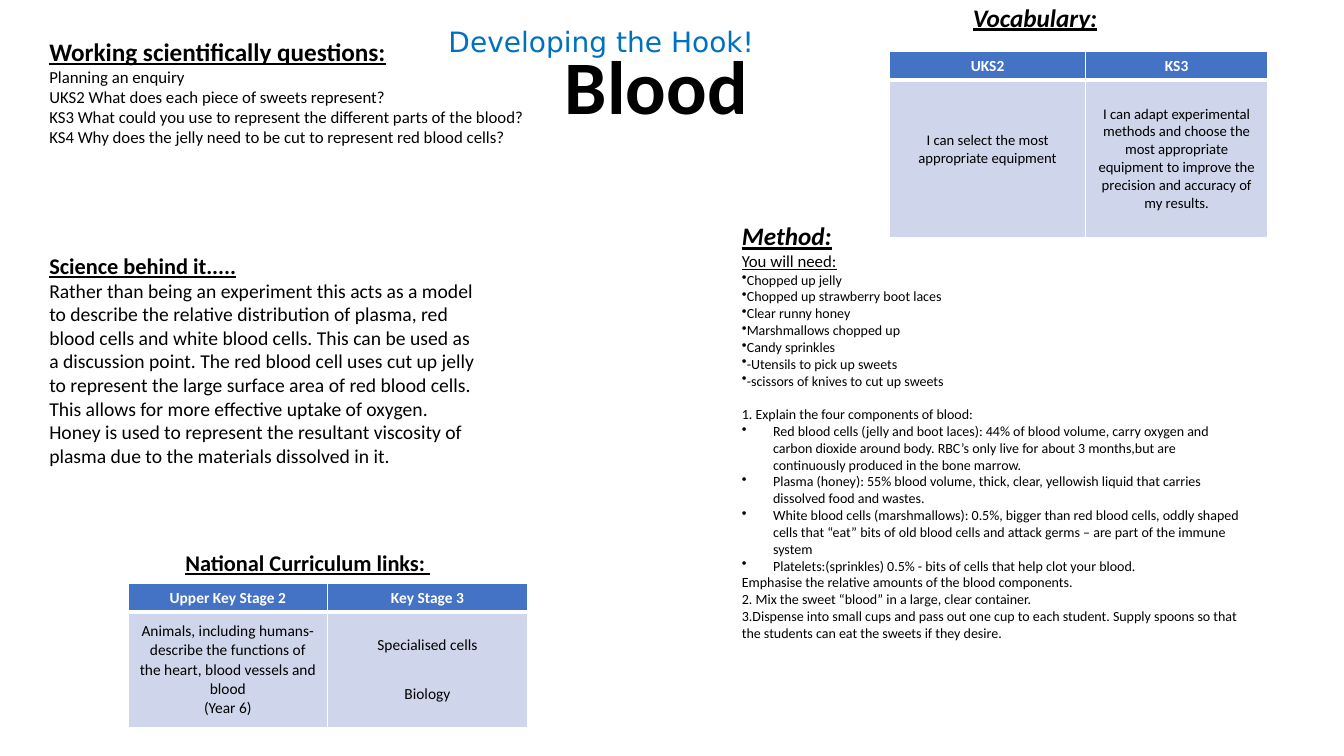
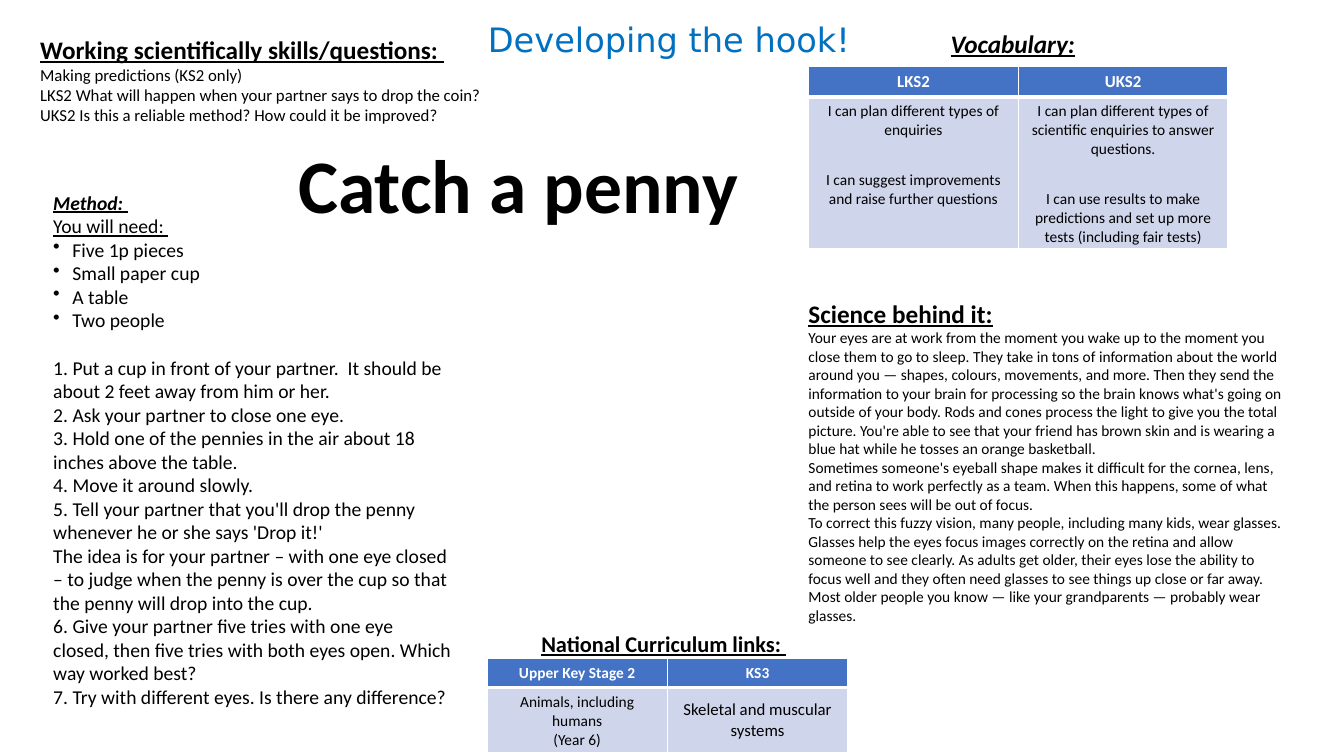
import pptx
import pptx.util
import pptx.dml.color
import pptx.enum.text
import pptx.oxml
import pptx.oxml.ns
import lxml.etree

PX = 9144
BLUE, PALE, WHITE, BLACK, HOOK = "4472C4", "CFD5EA", "FFFFFF", "000000", "0070C0"
ALIGN = pptx.enum.text.PP_ALIGN
ANCHOR = pptx.enum.text.MSO_ANCHOR
BLANK_LINE = 22


def text_style(size, color=BLACK, name="Calibri", align=ALIGN.LEFT, bullet=None, outline=False, **flags):
    return {"font": {"size": pptx.util.Pt(size), "name": name, **flags},
            "color": color, "align": align, "bullet": bullet, "outline": outline}


def heading(size, **flags):
    return text_style(size, bold=True, underline=True, **flags)


HEADING = heading(18)
SMALL_HEADING = heading(16)
SLANTED_HEADING = heading(18, italic=True)
TOPIC = text_style(54, align=ALIGN.CENTER, outline=True, bold=True)

SLIDES = [
    {
        "boxes": [
            ((726, 214, 515, 522), [
                (SLANTED_HEADING, 0, ["Method:"]),
                (text_style(12, underline=True), 0, ["You will need:"]),
                (text_style(10, bullet=0), 0, [
                    "Chopped up jelly",
                    "Chopped up strawberry boot laces",
                    "Clear runny honey",
                    "Marshmallows chopped up",
                    "Candy sprinkles",
                    "-Utensils to pick up sweets",
                    "-scissors of knives to cut up sweets"]),
                (text_style(10), 12, ["1. Explain the four components of blood:"]),
                (text_style(10, bullet=31), 0, [
                    "Red blood cells (jelly and boot laces): 44% of blood volume, carry oxygen and carbon dioxide around body. RBC’s only live for about 3 months,but are continuously produced in the bone marrow.",
                    "Plasma (honey): 55% blood volume, thick, clear, yellowish liquid that carries dissolved food and wastes.",
                    "White blood cells (marshmallows): 0.5%, bigger than red blood cells, oddly shaped cells that “eat” bits of old blood cells and attack germs – are part of the immune system",
                    "Platelets:(sprinkles) 0.5% - bits of cells that help clot your blood."]),
                (text_style(10), 0, [
                    "Emphasise the relative amounts of the blood components.",
                    "2. Mix the sweet “blood” in a large, clear container.",
                    "3.Dispense into small cups and pass out one cup to each student. Supply spoons so that the students can eat the sweets if they desire."]),
            ]),
            ((39, 31, 555, 172), [
                (HEADING, 0, ["Working scientifically questions:"]),
                (text_style(12), 0, [
                    "Planning an enquiry",
                    "UKS2 What does each piece of sweets represent?",
                    "KS3 What could you use to represent the different parts of the blood?",
                    "KS4 Why does the jelly need to be cut to represent red blood cells?"]),
            ]),
            ((174, 540, 319, 145), [(SMALL_HEADING, 0, ["National Curriculum links: "])]),
            ((955, -3, 393, 84), [(SLANTED_HEADING, 0, ["Vocabulary:"])]),
            ((232, 34, 838, 101), [(TOPIC, 0, ["Blood"])]),
            ((39, 245, 445, 276), [
                (SMALL_HEADING, 0, ["Science behind it....."]),
                (text_style(14), 0, [
                    "Rather than being an experiment this acts as a model to describe the relative distribution of plasma, red blood cells and white blood cells. This can be used as a discussion point. The red blood cell uses cut up jelly to represent the large surface area of red blood cells. This allows for more effective uptake of oxygen. Honey is used to represent the resultant viscosity of plasma due to the materials dissolved in it."]),
            ]),
            ((435, 19, 607, 44), [(text_style(20, HOOK, "DejaVu Sans"), 0, ["Developing the Hook!"])]),
        ],
        "tables": [
            {"at": (127, 579), "cols": (198, 198), "rows": (28, 114), "anchor": ANCHOR.MIDDLE,
             "header_size": 11, "header": ["Upper Key Stage 2", "Key Stage 3"],
             "body": [
                 {"size": 11, "lines": [
                     (0, "Animals, including humans- describe the functions of the heart, blood vessels and blood"),
                     (0, "(Year 6)")]},
                 {"size": 11, "lines": [(0, "Specialised cells"), (BLANK_LINE, "Biology")]}]},
            {"at": (882, 51), "cols": (195, 180), "rows": (28, 156), "anchor": ANCHOR.MIDDLE,
             "header_size": 11, "header": ["UKS2", "KS3"],
             "body": [
                 {"size": 10.5, "bottom": 23, "lines": [(0, "I can select the most appropriate equipment")]},
                 {"size": 10.5, "lines": [
                     (0, "I can adapt experimental methods and choose the most appropriate equipment to improve the precision and accuracy of my results.")]}]},
        ],
    },
    {
        "boxes": [
            ((43, 184, 416, 547), [
                (heading(14, italic=True), 0, ["Method: "]),
                (text_style(14, underline=True), 0, ["You will need: "]),
                (text_style(14, bullet=19), 0, [
                    "Five 1p pieces", "Small paper cup", "A table", "Two people"]),
                (text_style(14), 17, [
                    "1. Put a cup in front of your partner.  It should be about 2 feet away from him or her."]),
                (text_style(14), 0, [
                    "2. Ask your partner to close one eye.",
                    "3. Hold one of the pennies in the air about 18 inches above the table.",
                    "4. Move it around slowly.",
                    "5. Tell your partner that you'll drop the penny whenever he or she says 'Drop it!'",
                    "The idea is for your partner – with one eye closed – to judge when the penny is over the cup so that the penny will drop into the cup.",
                    "6. Give your partner five tries with one eye closed, then five tries with both eyes open. Which way worked best?",
                    "7. Try with different eyes. Is there any difference?"]),
            ]),
            ((792, 291, 493, 374), [
                (HEADING, 0, ["Science behind it:"]),
                (text_style(11), 0, [
                    "Your eyes are at work from the moment you wake up to the moment you close them to go to sleep. They take in tons of information about the world around you — shapes, colours, movements, and more. Then they send the information to your brain for processing so the brain knows what's going on outside of your body. Rods and cones process the light to give you the total picture. You're able to see that your friend has brown skin and is wearing a blue hat while he tosses an orange basketball.",
                    "Sometimes someone's eyeball shape makes it difficult for the cornea, lens, and retina to work perfectly as a team. When this happens, some of what the person sees will be out of focus.",
                    "To correct this fuzzy vision, many people, including many kids, wear glasses. Glasses help the eyes focus images correctly on the retina and allow someone to see clearly. As adults get older, their eyes lose the ability to focus well and they often need glasses to see things up close or far away. Most older people you know — like your grandparents — probably wear glasses."]),
            ]),
            ((30, 29, 732, 121), [
                (HEADING, 0, ["Working scientifically skills/questions: "]),
                (text_style(12), 0, [
                    "Making predictions (KS2 only)",
                    "LKS2 What will happen when your partner says to drop the coin?",
                    "UKS2 Is this a reliable method? How could it be improved?"]),
            ]),
            ((527, 620, 299, 138), [(SMALL_HEADING, 0, ["National Curriculum links: "])]),
            ((933, 23, 320, 64), [(SLANTED_HEADING, 0, ["Vocabulary:"])]),
            ((275, 132, 478, 101), [(TOPIC, 0, ["Catch a penny"])]),
            ((474, 14, 555, 57), [(text_style(24, HOOK, "DejaVu Sans"), 0, ["Developing the hook!"])]),
        ],
        "tables": [
            {"at": (483, 653), "cols": (179, 179), "rows": (29, 65), "anchor": ANCHOR.MIDDLE,
             "header_size": 11, "header": ["Upper Key Stage 2", "KS3"],
             "body": [
                 {"size": 11, "lines": [(0, "Animals, including humans"), (0, "(Year 6)")]},
                 {"size": 12, "lines": [(0, "Skeletal and muscular systems")]}]},
            {"at": (802, 66), "cols": (208, 208), "rows": (30, 150), "anchor": ANCHOR.TOP,
             "header_size": 12, "header": ["LKS2", "UKS2"],
             "body": [
                 {"size": 11, "lines": [
                     (0, "I can plan different types of enquiries"),
                     (BLANK_LINE, "I can suggest improvements and raise further questions")]},
                 {"size": 11, "lines": [
                     (0, "I can plan different types of scientific enquiries to answer questions."),
                     (BLANK_LINE, "I can use results to make"),
                     (0, "predictions and set up more tests (including fair tests)")]}]},
        ],
    },
]


def px(length):
    return pptx.util.Emu(length * PX)


def rgb(color):
    return pptx.dml.color.RGBColor.from_string(color)


def white_line(tag, points):
    namespace = pptx.oxml.ns.nsdecls("a")
    return pptx.oxml.parse_xml(
        f'<a:{tag} {namespace} w="{int(points * 12700)}"><a:solidFill>'
        f'<a:srgbClr val="{WHITE}"/></a:solidFill></a:{tag}>')


def write(frame, groups):
    entries = [(style, gap, text) for style, gap, texts in groups for text in texts]
    for index, (style, gap, text) in enumerate(entries):
        paragraph = frame.add_paragraph() if index else frame.paragraphs[0]
        paragraph.alignment = style["align"]
        if gap:
            paragraph.space_before = pptx.util.Pt(gap)
        if style["bullet"] is not None:
            properties = paragraph._p.get_or_add_pPr()
            properties.set("marL", str(px(style["bullet"])))
            properties.set("indent", str(px(-style["bullet"])))
            bullet = lxml.etree.SubElement(properties, pptx.oxml.ns.qn("a:buChar"))
            bullet.set("char", "•")
        run = paragraph.add_run()
        run.text = text
        for attribute, value in style["font"].items():
            setattr(run.font, attribute, value)
        run.font.color.rgb = rgb(style["color"])
        if style["outline"]:
            run._r.get_or_add_rPr().insert(0, white_line("ln", 0.75))


def add_box(slide, place, groups):
    frame = slide.shapes.add_textbox(*map(px, place)).text_frame
    frame.word_wrap = True
    frame.auto_size = pptx.enum.text.MSO_AUTO_SIZE.SHAPE_TO_FIT_TEXT
    write(frame, groups)


def fill_cell(cell, color, anchor, groups, bottom_line):
    cell.fill.solid()
    cell.fill.fore_color.rgb = rgb(color)
    cell.vertical_anchor = anchor
    write(cell.text_frame, groups)
    borders = {"lnL": 1, "lnR": 1, "lnT": 1, "lnB": bottom_line}
    for index, (tag, points) in enumerate(borders.items()):
        cell._tc.get_or_add_tcPr().insert(index, white_line(tag, points))


def add_grid(slide, content):
    cols, rows = content["cols"], content["rows"]
    place = (*content["at"], sum(cols), sum(rows))
    grid = slide.shapes.add_table(len(rows), len(cols), *map(px, place)).table
    for row, height in zip(grid.rows, rows):
        row.height = px(height)
    header_style = text_style(content["header_size"], WHITE, align=ALIGN.CENTER, bold=True)
    for index, (title, body) in enumerate(zip(content["header"], content["body"])):
        grid.columns[index].width = px(cols[index])
        fill_cell(grid.cell(0, index), BLUE, content["anchor"], [(header_style, 0, [title])], 3)
        body_style = text_style(body["size"], align=ALIGN.CENTER, bold=False)
        lines = [(body_style, gap, [line]) for gap, line in body["lines"]]
        fill_cell(grid.cell(1, index), PALE, content["anchor"], lines, 1)
        grid.cell(1, index).margin_bottom = px(body.get("bottom", 5))


def main():
    deck = pptx.Presentation()
    deck.slide_width, deck.slide_height = px(1333), px(750)
    for content in SLIDES:
        slide = deck.slides.add_slide(deck.slide_layouts[6])
        for place, groups in content["boxes"]:
            add_box(slide, place, groups)
        for grid in content["tables"]:
            add_grid(slide, grid)
    deck.save("out.pptx")


if __name__ == "__main__":
    main()
